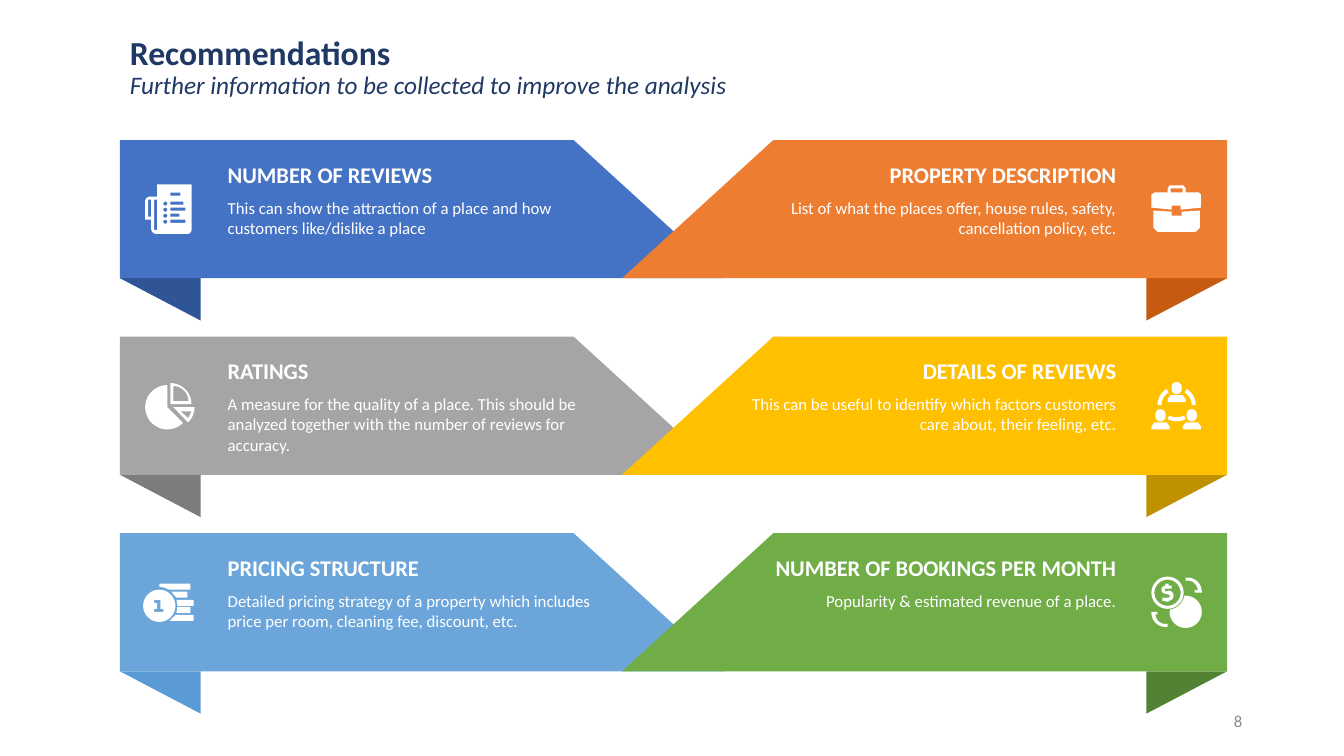
import math

import pptx
import pptx.dml.color
import pptx.enum.text
import pptx.util
from pptx.util import Inches

COLORS = {
    "white": "FFFFFF", "navy": "203864", "page": "8C8C8C",
    "blue": "4472C4", "blue fold": "2F5597",
    "orange": "ED7D31", "orange fold": "C55A11",
    "gray": "A5A5A5", "gray fold": "7C7C7C",
    "gold": "FFC000", "gold fold": "BF9000",
    "sky": "6BA5D9", "sky fold": "5B9BD5",
    "green": "70AD47", "green fold": "548235",
}
RGB = {name: pptx.dml.color.RGBColor.from_string(code) for name, code in COLORS.items()}
ALIGN = pptx.enum.text.PP_ALIGN
ANCHOR = pptx.enum.text.MSO_ANCHOR

deck = pptx.Presentation()
deck.slide_width, deck.slide_height = Inches(13.33), Inches(7.5)
slide = deck.slides.add_slide(deck.slide_layouts[6])


def arc(cx, cy, radius, start=0, end=360):
    """Points along an arc in inches; degrees run clockwise from the right."""
    steps = max(4, round(abs(end - start) / 10))
    angles = [math.radians(start + (end - start) * i / steps) for i in range(steps + 1)]
    return [(cx + radius * math.cos(a), cy + radius * math.sin(a)) for a in angles]


def add_outline(color, contours):
    """One filled shape; a contour is a point list or a (left, top, right, bottom) box."""
    builder = None
    for contour in contours:
        if isinstance(contour, tuple):
            left, top, right, bottom = contour
            contour = [(left, top), (right, top), (right, bottom), (left, bottom)]
        points = [(Inches(x), Inches(y)) for x, y in contour]
        if builder is None:
            builder = slide.shapes.build_freeform(*points[0], scale=1.0)
        else:
            builder.move_to(*points[0])
        builder.add_line_segments(points[1:], close=True)
    shape = builder.convert_to_shape()
    shape.shadow.inherit = False
    shape.fill.solid()
    shape.fill.fore_color.rgb = RGB[color]
    shape.line.fill.background()


newspaper = [
    [(1.56, 1.83), (1.9, 1.83), *arc(1.86, 2.28, 0.04, 0, 90), *arc(1.55, 2.27, 0.05, 90, 180),
     (1.5, 2.18), (1.44, 2.18), *arc(1.49, 2, 0.05, 180, 270), (1.56, 1.95)],
    (1.53, 1.98, 1.56, 2.28), (1.47, 1.98, 1.5, 2.15), (1.69, 1.91, 1.79, 1.94),
]
for line_top, line_end in [(2, 1.82), (2.06, 1.84), (2.12, 1.78), (2.18, 1.84)]:
    newspaper += [(1.69, line_top, line_end, line_top + 0.03), arc(1.64, line_top + 0.02, 0.02)]

briefcase = [
    [(11.44, 2.09), (11.62, 2.1), (11.62, 2.14), (11.72, 2.14), (11.72, 2.1), (11.9, 2.09),
     (11.9, 2.26), (11.86, 2.3), (11.48, 2.3), (11.44, 2.26)],
    [(11.6, 1.84), (11.74, 1.84), (11.76, 1.87), (11.76, 1.91), (11.89, 1.91), (11.91, 1.93),
     (11.91, 2.06), (11.71, 2.08), (11.71, 2.04), (11.62, 2.04), (11.62, 2.08), (11.42, 2.06),
     (11.42, 1.93), (11.45, 1.91), (11.58, 1.91), (11.58, 1.87)],
    (11.61, 1.87, 11.73, 1.91),
]

pie = [
    [*arc(1.66, 4.04, 0.22, 45, 270), (1.66, 4.04)],
    [*arc(1.69, 4.01, 0.21, -90, 0), (1.69, 4.01)],
    [*arc(1.72, 3.98, 0.15, -90, 0), (1.72, 3.98)],
    [*arc(1.72, 4.04, 0.21, 0, 46), (1.72, 4.04)],
    [(1.79, 4.08), (1.87, 4.15), (1.9, 4.08)],
]

people = [
    [*arc(11.67, 4.02, 0.19, -58, 0), *arc(11.67, 4.02, 0.15, 0, -58)],
    [*arc(11.67, 4.02, 0.19, 180, 238), *arc(11.67, 4.02, 0.15, 238, 180)],
    [*arc(11.67, 3.98, 0.2, 63, 117), *arc(11.67, 3.98, 0.16, 117, 63)],
]
for person_x, shoulder in [(11.67, 3.92), (11.51, 4.19), (11.82, 4.19)]:
    people += [
        [*arc(person_x, shoulder - 0.08, 0.05, 180, 360),
         *arc(person_x, shoulder - 0.06, 0.05, 0, 180)],
        [(person_x - 0.06, shoulder), (person_x + 0.06, shoulder),
         (person_x + 0.09, shoulder + 0.04), (person_x + 0.09, shoulder + 0.07),
         (person_x - 0.09, shoulder + 0.07), (person_x - 0.09, shoulder + 0.04)],
    ]

coins = [
    arc(1.58, 6.01, 0.16),
    [(1.53, 5.95), (1.59, 5.95), (1.59, 6.04), (1.62, 6.04), (1.62, 6.07), (1.53, 6.07),
     (1.53, 6.04), (1.56, 6.04), (1.56, 5.98), (1.53, 5.98)],
    [(1.58, 5.79), (1.89, 5.79), (1.89, 5.85), (1.68, 5.85), (1.63, 5.83), (1.58, 5.82)],
    [(1.7, 5.87), (1.86, 5.87), (1.86, 5.93), (1.75, 5.93)],
    [(1.75, 5.95), (1.92, 5.95), (1.92, 6.01), (1.76, 6.01)],
    [(1.76, 6.02), (1.89, 6.02), (1.89, 6.08), (1.75, 6.08)],
    [(1.74, 6.1), (1.92, 6.1), (1.92, 6.16), (1.68, 6.16)],
]

money = [
    arc(11.58, 5.88, 0.16), arc(11.58, 5.88, 0.13),
    [(11.56, 5.79), (11.59, 5.79), (11.59, 5.81), (11.62, 5.81), (11.62, 5.84), (11.56, 5.84),
     (11.55, 5.85), (11.56, 5.87), *arc(11.59, 5.91, 0.05, -90, 90), (11.59, 5.97),
     (11.56, 5.97), (11.56, 5.96), (11.53, 5.96), (11.53, 5.93), (11.59, 5.93),
     (11.61, 5.91), (11.59, 5.9), *arc(11.56, 5.85, 0.04, 90, 270)],
    [*arc(11.76, 6.07, 0.16, -90, 180), *arc(11.58, 5.88, 0.17, 80, 10)],
    [(11.76, 5.73), *arc(11.78, 5.87, 0.14, -90, 0), (11.92, 5.88), (11.85, 5.88),
     (11.85, 5.85), *arc(11.78, 5.86, 0.1, 0, -90), (11.76, 5.76)],
    [(11.42, 6.07), (11.48, 6.07), (11.48, 6.1), *arc(11.56, 6.09, 0.1, 180, 90),
     (11.58, 6.19), (11.58, 6.22), *arc(11.56, 6.08, 0.14, 90, 180)],
]

topics = [
    ("blue", newspaper, "NUMBER OF REVIEWS",
     "This can show the attraction of a place and how customers like/dislike a place"),
    ("orange", briefcase, "PROPERTY DESCRIPTION",
     "List of what the places offer, house rules, safety, cancellation policy, etc."),
    ("gray", pie, "RATINGS",
     "A measure for the quality of a place. This should be analyzed together with the "
     "number of reviews for accuracy."),
    ("gold", people, "DETAILS OF REVIEWS",
     "This can be useful to identify which factors customers care about, their feeling, etc."),
    ("sky", coins, "PRICING STRUCTURE",
     "Detailed pricing strategy of a property which includes price per room, cleaning fee, "
     "discount, etc."),
    ("green", money, "NUMBER OF BOOKINGS PER MONTH", "Popularity & estimated revenue of a place."),
]

# Each text: left, top, width, height, alignment, anchor, line spacing, runs
texts = [
    (1.19, -0.05, 11.5, 1.45, ALIGN.LEFT, ANCHOR.MIDDLE, 0.9,
     [("Recommendations", 24, "navy", True, False),
      ("Further information to be collected to improve the analysis", 18, "navy", False, True)]),
    (9.42, 6.95, 3, 0.4, ALIGN.RIGHT, ANCHOR.MIDDLE, 1, [("8", 12, "page", False, False)]),
]

MIRROR = 13.36
for index, (color, icon, heading, detail) in enumerate(topics):
    row, on_right = divmod(index, 2)
    top = 1.39 + 1.95 * row
    bottom = top + 1.37
    fold = [(1.19, bottom), (1.99, bottom), (1.99, bottom + 0.42)]
    banner = [(1.19, top), (5.69, top), (7.19, bottom), (1.19, bottom)]
    if on_right:
        fold, banner = ([(MIRROR - x, y) for x, y in part] for part in (fold, banner))
    add_outline(color + " fold", [fold])
    add_outline(color, [banner])
    add_outline("white", icon)
    left, width, align = (7.19, 3.98, ALIGN.RIGHT) if on_right else (2.16, 4.01, ALIGN.LEFT)
    texts += [
        (left, top + 0.15, width, 0.37, align, ANCHOR.BOTTOM, 1,
         [(heading, 16, "white", True, False)]),
        (left, top + 0.52, width, 0.5, align, ANCHOR.TOP, 1,
         [(detail, 12, "white", False, False)]),
    ]

for left, top, width, height, align, anchor, spacing, runs in texts:
    box = slide.shapes.add_textbox(Inches(left), Inches(top), Inches(width), Inches(height))
    frame = box.text_frame
    frame.word_wrap = True
    frame.vertical_anchor = anchor
    paragraph = frame.paragraphs[0]
    paragraph.alignment = align
    paragraph.line_spacing = spacing
    for position, (words, size, color, bold, italic) in enumerate(runs):
        if position:
            paragraph.add_line_break()
        run = paragraph.add_run()
        run.text = words
        run.font.name = "Calibri"
        run.font.size = pptx.util.Pt(size)
        run.font.bold = bold
        run.font.italic = italic
        run.font.color.rgb = RGB[color]

deck.save("out.pptx")
